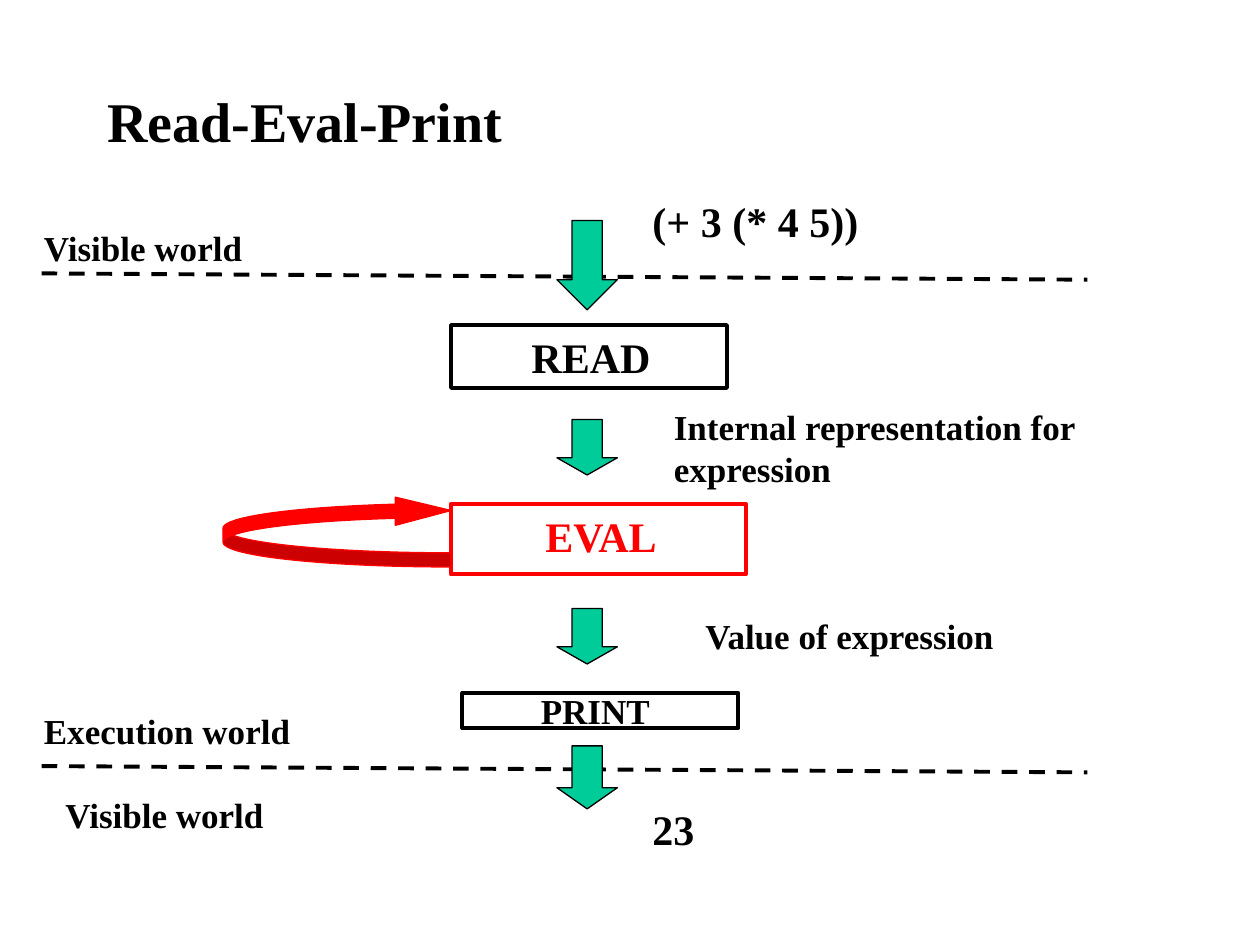
from dataclasses import dataclass

from lxml import etree
from pptx import Presentation
from pptx.dml.color import RGBColor
from pptx.enum.dml import MSO_LINE
from pptx.enum.shapes import MSO_CONNECTOR, MSO_SHAPE
from pptx.enum.text import MSO_ANCHOR, MSO_AUTO_SIZE, PP_ALIGN
from pptx.oxml.ns import qn
from pptx.util import Inches, Pt


@dataclass(frozen=True)
class Theme:
    font: str = "Times New Roman"
    ink: str = "000000"
    accent: str = "FF0000"
    arrow: str = "00CC99"
    title: int = 32
    large: int = 24
    label: int = 20
    thick: float = 2.25
    thin: float = 0.75


class Builder:
    """Holds the theme and the current slide."""

    def __init__(self, prs, theme):
        self.theme = theme
        self.slide = prs.slides.add_slide(prs.slide_layouts[5])

    def add_run(self, tf, text, size, color, align):
        p = tf.paragraphs[0]
        p.alignment = align
        r = p.add_run()
        r.text = text
        r.font.name = self.theme.font
        r.font.size = Pt(size)
        r.font.bold = True
        r.font.color.rgb = RGBColor.from_string(color)

    def title(self, text, x, y, w, h):
        sp = self.slide.shapes.title
        sp.left, sp.top, sp.width, sp.height = map(Inches, (x, y, w, h))
        sp.text_frame.vertical_anchor = MSO_ANCHOR.MIDDLE
        self.add_run(sp.text_frame, text, self.theme.title, self.theme.ink, PP_ALIGN.LEFT)

    def text(self, text, x, y, w, h, size, color=None, align=PP_ALIGN.LEFT):
        sp = self.slide.shapes.add_textbox(*map(Inches, (x, y, w, h)))
        tf = sp.text_frame
        tf.word_wrap = True
        tf.auto_size = MSO_AUTO_SIZE.SHAPE_TO_FIT_TEXT
        self.add_run(tf, text, size, color or self.theme.ink, align)

    def shape(self, kind, x, y, w, h, line, width, fill=None, adjust=()):
        sp = self.slide.shapes.add_shape(kind, *map(Inches, (x, y, w, h)))
        sp.shadow.inherit = False
        if fill:
            sp.fill.solid()
            sp.fill.fore_color.rgb = RGBColor.from_string(fill)
        else:
            sp.fill.background()
        sp.line.color.rgb = RGBColor.from_string(line)
        sp.line.width = Pt(width)
        for i, value in enumerate(adjust):
            sp.adjustments[i] = value
        return sp

    def box(self, x, y, w, h, color):
        self.shape(MSO_SHAPE.RECTANGLE, x, y, w, h, color, self.theme.thick)

    def down_arrow(self, y, h, head):
        self.shape(MSO_SHAPE.DOWN_ARROW, 4.42, y, 0.48, h, self.theme.ink,
                   self.theme.thin, self.theme.arrow, (0.5, head))

    def loop_arrow(self, x, y, w, h):
        sp = self.shape(MSO_SHAPE.CURVED_RIGHT_ARROW, x, y, w, h, self.theme.accent,
                        self.theme.thin, self.theme.accent, (0.2, 0.4, 0.79))
        sp._element.spPr.find(qn("a:xfrm")).set("flipV", "1")

    def dashed_line(self, x1, y1, x2, y2):
        cx = self.slide.shapes.add_connector(
            MSO_CONNECTOR.STRAIGHT, *map(Inches, (x1, y1, x2, y2)))
        cx.line.color.rgb = RGBColor.from_string(self.theme.ink)
        cx.line.width = Pt(self.theme.thick)
        cx.line.dash_style = MSO_LINE.DASH
        etree.SubElement(cx._element.spPr, qn("a:effectLst"))


def main():
    prs = Presentation()
    prs.slide_width, prs.slide_height = Inches(10), Inches(7.5)
    t = Theme()
    b = Builder(prs, t)

    b.title("Read-Eval-Print", 0.75, 0.58, 8.5, 0.75)

    # Borders between the visible and execution worlds
    for y in (2.17, 6.08):
        b.dashed_line(0.33, y, 8.63, y + 0.05)

    # Flow arrows, from input to output: top, height, head proportion
    for y, h, head in ((1.75, 0.71, 0.5), (3.33, 0.44, 0.31),
                       (4.83, 0.44, 0.31), (5.92, 0.5, 0.35)):
        b.down_arrow(y, h, head)

    # Stages: box, then its caption
    stages = (
        ("READ", (3.58, 2.58, 2.19, 0.5), (3.67, 2.58, 2.04, 0.5), t.large, t.ink),
        ("EVAL", (3.58, 4, 2.34, 0.56), (3.79, 4, 1.96, 0.5), t.large, t.accent),
        ("PRINT", (3.67, 5.5, 2.19, 0.28), (3.78, 5.42, 1.89, 0.44), t.label, t.ink),
    )
    for name, frame, caption, size, color in stages:
        b.box(*frame, color)
        b.text(name, *caption, size, color, PP_ALIGN.CENTER)

    # Evaluation loops back on itself
    b.loop_arrow(1.77, 3.94, 1.81, 0.56)

    # World names and the data passed between stages
    labels = (
        ("Visible world", 0.25, 1.75, 2.04, 0.44, t.label),
        ("Execution world", 0.25, 5.58, 2.17, 0.44, t.label),
        ("Visible world", 0.42, 6.25, 2, 0.44, t.label),
        ("(+ 3 (* 4 5))", 5.08, 1.5, 2.26, 0.5, t.large),
        ("Internal representation for expression", 5.25, 3.17, 4, 0.77, t.label),
        ("Value of expression", 5.5, 4.83, 2.71, 0.44, t.label),
        ("23", 5.08, 6.33, 1.58, 0.5, t.large),
    )
    for label in labels:
        b.text(*label)

    prs.save("out.pptx")


if __name__ == "__main__":
    main()
